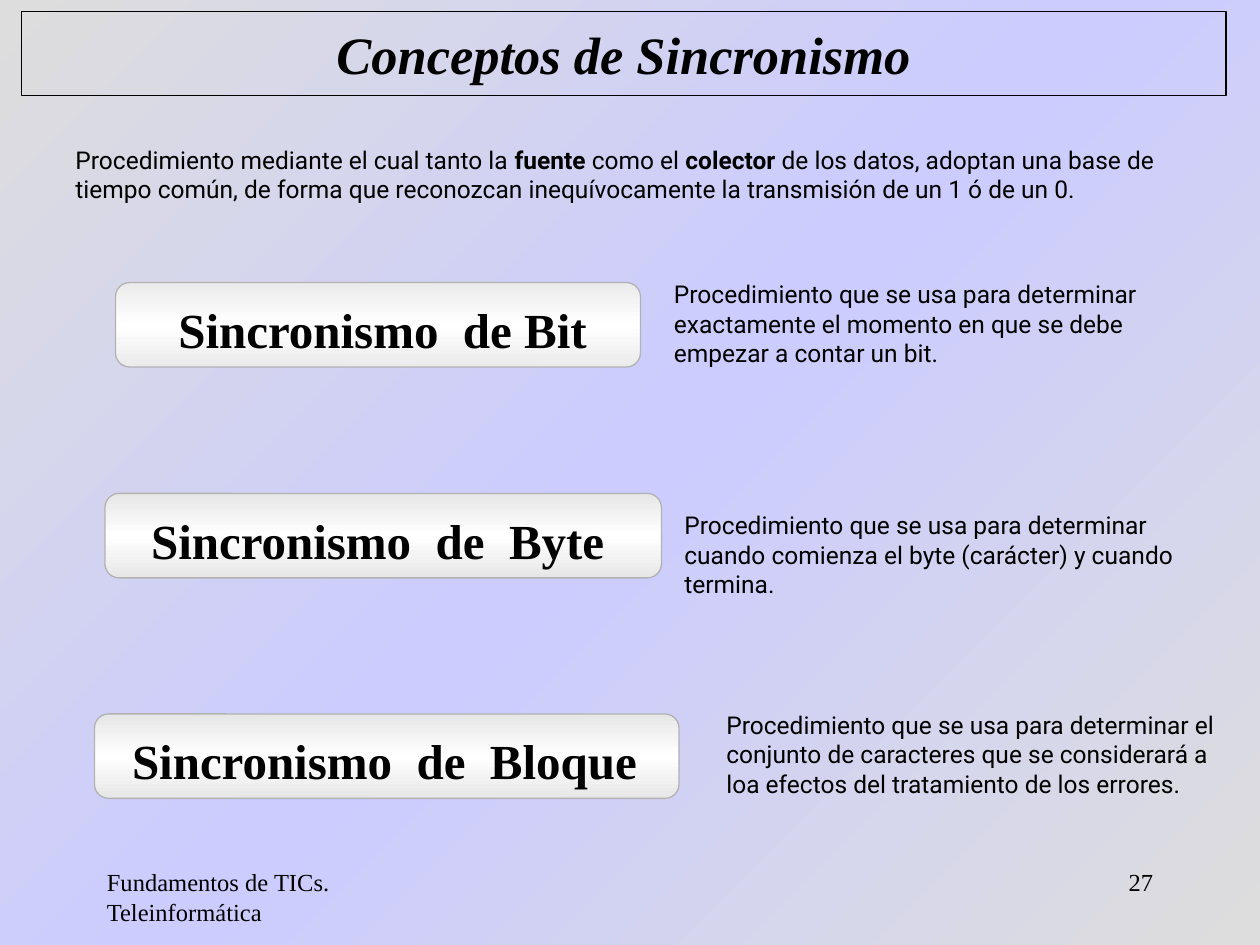
from lxml.etree import SubElement
from pptx import Presentation
from pptx.dml.color import RGBColor
from pptx.enum.shapes import MSO_SHAPE
from pptx.enum.text import MSO_ANCHOR, PP_ALIGN
from pptx.oxml.ns import qn
from pptx.util import Pt

BLACK = RGBColor(0x00, 0x00, 0x00)
WHITE = RGBColor(0xFF, 0xFF, 0xFF)
GRAY = RGBColor(0xDD, 0xDD, 0xDD)
LAVENDER = RGBColor(0xCC, 0xCC, 0xFF)
BUTTON_EDGE = RGBColor(0xB2, 0xB2, 0xB2)
BIT_GRAY = RGBColor(0xEB, 0xEB, 0xEB)
BLOCK_GRAY = RGBColor(0xE7, 0xE7, 0xE7)
SERIF = "Times New Roman"
SANS = "Roboto"


def set_gradient(fill, owner, edge, middle, angle):
    """Fill with edge-middle-edge stops; the angle runs clockwise in degrees."""
    fill.gradient()
    gradient = next(owner.iter(qn("a:gradFill")))
    for child in list(gradient):
        gradient.remove(child)
    stops = SubElement(gradient, qn("a:gsLst"))
    for position, color in ((0, edge), (50000, middle), (100000, edge)):
        stop = SubElement(stops, qn("a:gs"), pos=str(position))
        SubElement(stop, qn("a:srgbClr"), val=str(color))
    SubElement(gradient, qn("a:lin"), ang=str(angle * 60000), scaled="0")


def add_text(shapes, frame, spans, font=SANS, size=14, bold=False, align=PP_ALIGN.LEFT):
    """Add a text box whose odd-numbered spans are bold."""
    box = shapes.add_textbox(*(Pt(length) for length in frame))
    box.text_frame.word_wrap = True
    para = box.text_frame.paragraphs[0]
    para.alignment = align
    para.font.name = font
    para.font.size = Pt(size)
    para.font.bold = bold
    para.font.color.rgb = BLACK
    for index, text in enumerate(spans):
        span = para.add_run()
        span.text = text
        if index % 2:
            span.font.bold = True


deck = Presentation()
deck.slide_width, deck.slide_height = Pt(720), Pt(540)
page = deck.slides.add_slide(deck.slide_layouts[5])
background = page.background.fill
set_gradient(background, page.element, GRAY, LAVENDER, 45)

title = page.shapes.title
title.left, title.top, title.width, title.height = Pt(12.24), Pt(6.48), Pt(688.32), Pt(48.24)
title.line.color.rgb = BLACK
title.line.width = Pt(0.75)
title.text_frame.text = "Conceptos de Sincronismo"
title.text_frame.vertical_anchor = MSO_ANCHOR.MIDDLE
para = title.text_frame.paragraphs[0]
para.alignment = PP_ALIGN.CENTER
para.font.name = SERIF
para.font.size = Pt(30)
para.font.bold = True
para.font.italic = True
para.font.color.rgb = BLACK

add_text(page.shapes, (36, 79.2, 636, 41), [
    "Procedimiento mediante el cual tanto la ", "fuente", " como el ", "colector",
    " de los datos, adoptan una base de tiempo común, de forma que reconozcan "
    "inequívocamente la transmisión de un 1 ó de un 0."])

# label, edge color, button (left, top, width), label (left, width),
# definition, definition (left, top, width)
concepts = [
    ("Sincronismo  de Bit", BIT_GRAY, (66, 161.5, 300), (93.6, 250),
     "Procedimiento que se usa para determinar exactamente el momento en que se "
     "debe empezar a contar un bit.", (378, 156, 306)),
    ("Sincronismo  de  Byte", BLOCK_GRAY, (60, 282, 318), (71.3, 289),
     "Procedimiento que se usa para determinar cuando comienza el byte (carácter) "
     "y cuando termina.", (384, 288, 294)),
    ("Sincronismo  de  Bloque", BLOCK_GRAY, (54, 408, 334), (67.7, 304),
     "Procedimiento que se usa para determinar el conjunto de caracteres que se "
     "considerará a loa efectos del tratamiento de los errores.", (408, 402, 294)),
]
for label, edge, (left, top, width), (label_left, label_width), definition, place in concepts:
    group = page.shapes.add_group_shape()
    button = group.shapes.add_shape(
        MSO_SHAPE.ROUNDED_RECTANGLE, Pt(left), Pt(top), Pt(width), Pt(48.24))
    button.shadow.inherit = False
    set_gradient(button.fill, button.element, edge, WHITE, 90)
    button.line.color.rgb = BUTTON_EDGE
    button.line.width = Pt(0.75)
    add_text(group.shapes, (label_left, top + 6, label_width, 41), [label],
             SERIF, 28, True, PP_ALIGN.CENTER)
    add_text(page.shapes, (*place, 57.6), [definition])

add_text(page.shapes, (54, 492, 150, 36), ["Fundamentos de TICs. Teleinformática"], SERIF)
add_text(page.shapes, (516, 492, 150, 36), ["27"], SERIF, align=PP_ALIGN.RIGHT)

deck.save("out.pptx")
